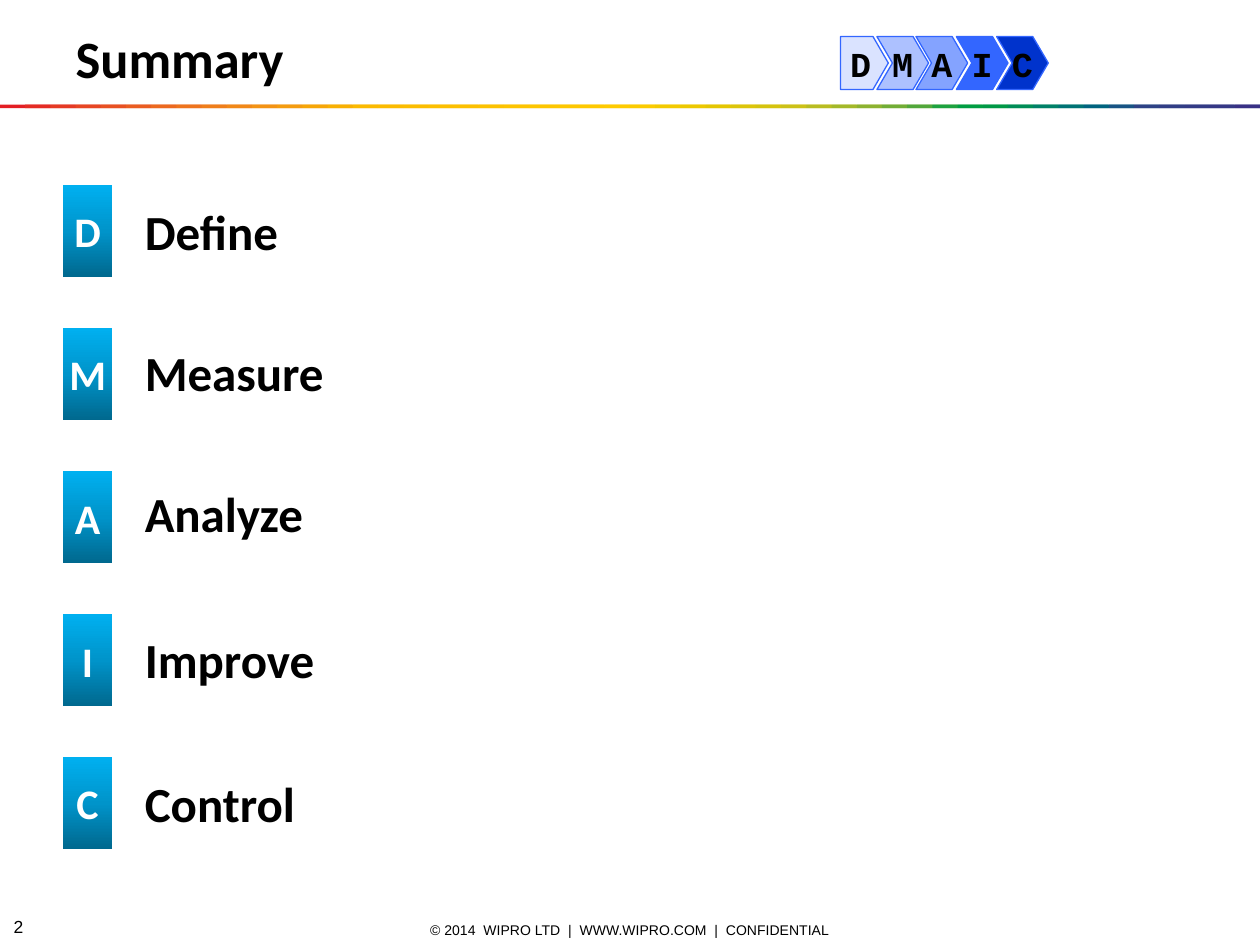
from copy import deepcopy

from lxml import etree
from pptx import Presentation
from pptx.dml.color import RGBColor
from pptx.enum.shapes import MSO_SHAPE
from pptx.enum.text import MSO_ANCHOR, PP_ALIGN
from pptx.oxml.ns import qn
from pptx.util import Inches, Pt

RECT, CHEVRON, PENTAGON = MSO_SHAPE.RECTANGLE, MSO_SHAPE.CHEVRON, MSO_SHAPE.PENTAGON
LEFT, CENTER, MIDDLE = PP_ALIGN.LEFT, PP_ALIGN.CENTER, MSO_ANCHOR.MIDDLE

STRIPE_COLORS = """
E31E24 E42C24 E53A24 E74623 E85122 EA5D21 EC691F EE741D EF7E1A F18817
F39314 F49C0F F6A607 F8B002 FBBA00 FBBB00 FBBD00 FCBF00 FCC000 FCC200
FDC400 FDC600 FDC700 FEC900 FECB00 FBCB00 F3CA00 ECC800 E4C602 DCC50A
D5C30E CCC117 B8BC21 A3B829 8CB230 71AD36 51A73B 1DA240 009D43 009846
008C57 008068 007275 00637F 185384 2E4285 313E85 333B85 353885 393185
""".split()
STEPS = [("Define", 1.48), ("Measure", 2.6), ("Analyze", 3.72),
         ("Improve", 4.88), ("Control", 6.02)]
TILE_STOPS = [(0, "00688E"), (0.5, "0094CA"), (1, "00B0F0")]
ARROWS = [("M", 6.96, "3366FF", 40), ("A", 7.27, "3366FF", 60),
          ("I", 7.59, "3366FF", 100), ("C", 7.91, "0033CC", 100)]


def rgb(value):
    return RGBColor.from_string(value)


class SlideBuilder:
    """Holds the deck style and the slide being drawn."""

    heading_font = "Calibri"
    footer_font = "Arial"
    arrow_font = "Courier New"
    black = "000000"
    white = "FFFFFF"
    arrow_line = "3366FF"

    def __init__(self, prs):
        self.s = prs.slides.add_slide(prs.slide_layouts[5])

    def set_text(self, sp, text, size, font, color, bold=True, align=LEFT, inset=None, wrap=True):
        tf = sp.text_frame
        tf.word_wrap = wrap
        tf.vertical_anchor = MIDDLE
        if inset is not None:
            tf.margin_left = tf.margin_right = Inches(inset)
            tf.margin_top = tf.margin_bottom = Inches(inset)
        p = tf.paragraphs[0]
        p.alignment = align
        r = p.add_run()
        r.text = text
        r.font.size = Pt(size)
        r.font.name = font
        r.font.bold = bold
        r.font.color.rgb = rgb(color)

    def title(self, text, box):
        sp = self.s.shapes.title
        sp.left, sp.top, sp.width, sp.height = map(Inches, box)
        self.set_text(sp, text, 30, self.heading_font, self.black)

    def text(self, text, box, size, font, **style):
        sp = self.s.shapes.add_textbox(*map(Inches, box))
        self.set_text(sp, text, size, font, self.black, **style)

    def shape(self, kind, box, color=None, parent=None):
        sp = (parent or self.s).shapes.add_shape(kind, *map(Inches, box))
        sp.shadow.inherit = False
        sp.line.fill.background()
        if color:
            sp.fill.solid()
            sp.fill.fore_color.rgb = rgb(color)
        return sp

    def stripe(self, colors, top, height, width):
        group = self.s.shapes.add_group_shape()
        step = width / len(colors)
        for i, color in enumerate(colors):
            left = i * step
            self.shape(RECT, (left, top, min(2 * step, width - left), height), color, group)

    def tile(self, letter, box):
        sp = self.shape(RECT, box)
        sp.fill.gradient()
        sp.fill.gradient_angle = 90
        stop_list = sp._element.spPr.find(".//" + qn("a:gsLst"))
        stop_list.append(deepcopy(stop_list[0]))
        for stop, (position, color) in zip(sp.fill.gradient_stops, TILE_STOPS):
            stop.position = position
            stop.color.rgb = rgb(color)
        self.set_text(sp, letter, 24, self.heading_font, self.white, align=CENTER, inset=0.05)

    def arrow(self, group, kind, letter, left, width, notch, color, opacity):
        sp = self.shape(kind, (left, 0.29, width, 0.42), color, group)
        sp.adjustments[0] = notch
        sp.line.color.rgb = rgb(self.arrow_line)
        sp.line.width = Pt(0.75)
        if opacity < 100:
            fill = sp._element.spPr.find(qn("a:solidFill"))
            etree.SubElement(fill[0], qn("a:alpha"), val=str(opacity * 1000))
        self.set_text(sp, letter, 20, self.arrow_font, self.black, align=CENTER, wrap=False)


def main():
    prs = Presentation()
    prs.slide_width, prs.slide_height = Inches(10), Inches(7.5)
    slide = SlideBuilder(prs)

    slide.text("© 2014  WIPRO LTD  |  WWW.WIPRO.COM  |  CONFIDENTIAL", (3.2, 7.3, 3.6, 0.16),
               8, slide.footer_font, bold=False, align=CENTER)
    slide.text("2", (0.01, 7.27, 0.39, 0.16), 10, slide.footer_font, bold=False)
    slide.stripe(STRIPE_COLORS, 0.83, 0.03, 10)
    slide.title("Summary", (0.5, 0.16, 2.01, 0.6))

    for i, (name, top) in enumerate(STEPS):
        slide.text(name, (1.1, top, 8.4, 0.7), 28, slide.heading_font, inset=0.05)
        slide.tile(name[0], (0.5, 1.47 + 1.135 * i, 0.39, 0.73))

    group = slide.s.shapes.add_group_shape()
    for letter, left, color, opacity in ARROWS:
        slide.arrow(group, CHEVRON, letter, left, 0.41, 0.3, color, opacity)
    slide.arrow(group, PENTAGON, "D", 6.67, 0.38, 0.32, "3366FF", 18)

    prs.save("out.pptx")


if __name__ == "__main__":
    main()
